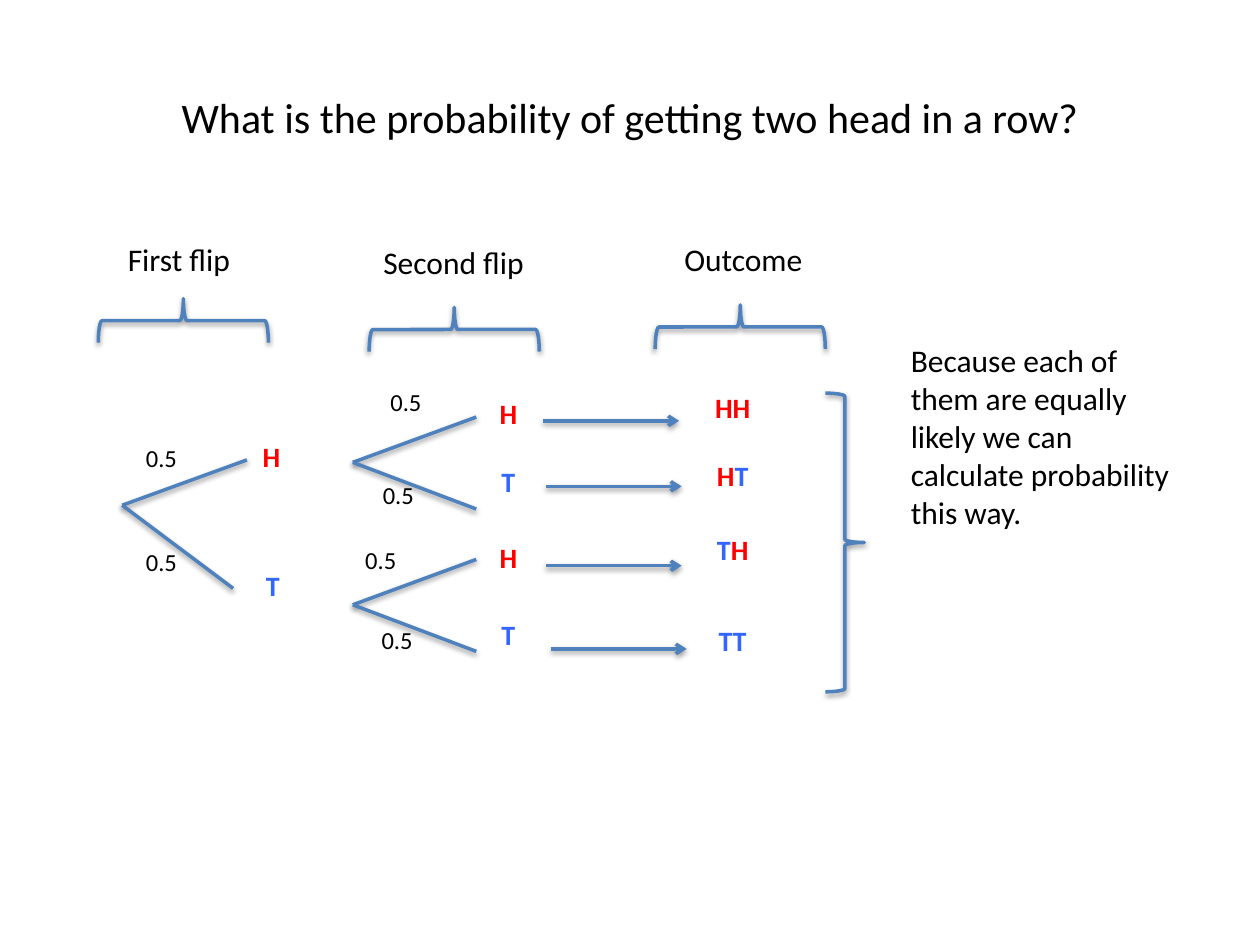
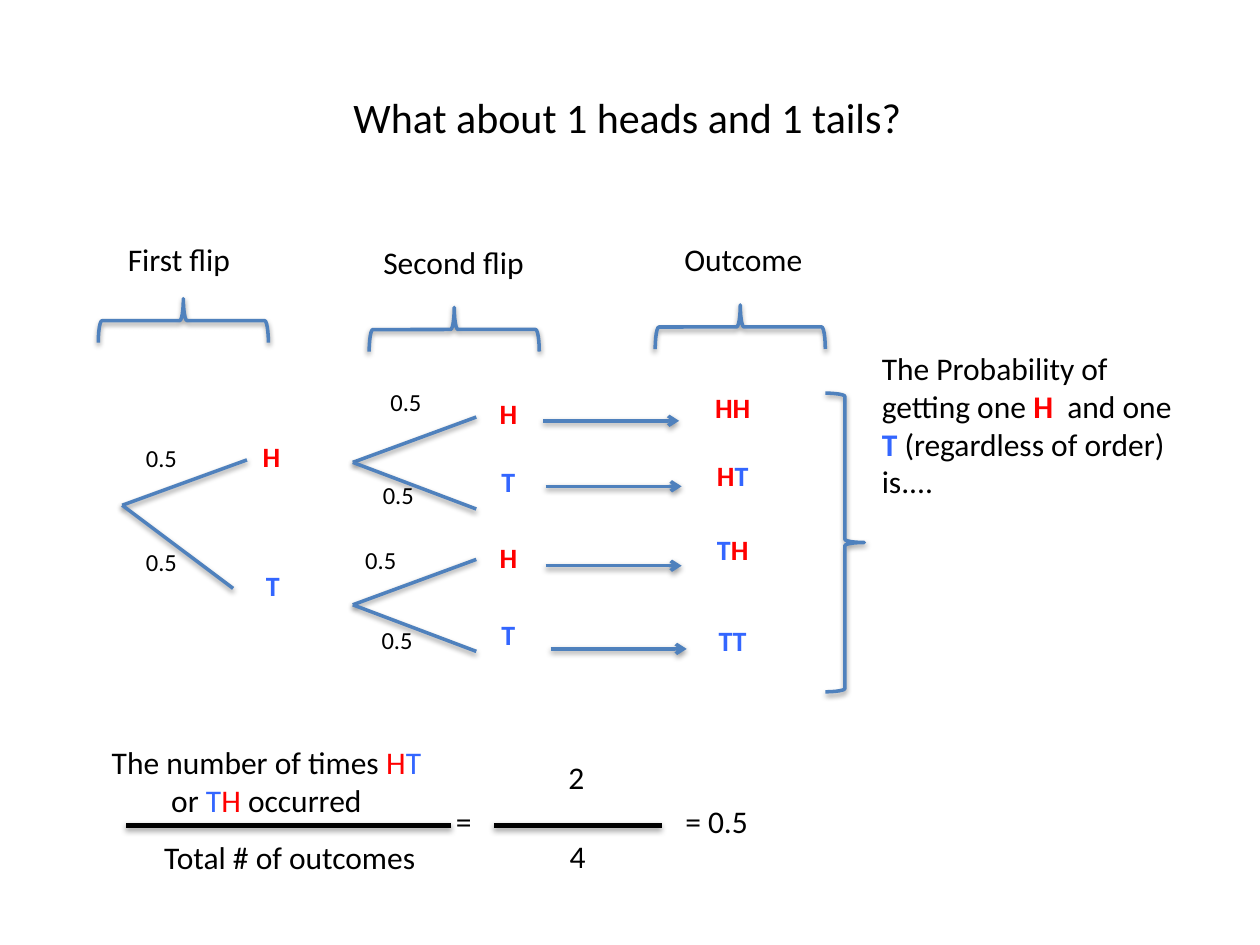
from pptx import Presentation
from pptx.dml.color import RGBColor
from pptx.enum.shapes import MSO_CONNECTOR, MSO_SHAPE
from pptx.enum.text import MSO_ANCHOR, MSO_AUTO_SIZE, PP_ALIGN
from pptx.oxml import parse_xml
from pptx.oxml.ns import nsdecls
from pptx.util import Emu, Pt

PX = 9144  # EMU per px, 100 px to the inch
COLORS = {"text": "000000", "H": "FF0000", "T": "3366FF", "line": "4F81BD"}
SHADOW = (
    f'<a:effectLst {nsdecls("a")}><a:outerShdw blurRad="40000" dist="20000" '
    'dir="5400000" rotWithShape="0"><a:srgbClr val="000000">'
    '<a:alpha val="38000"/></a:srgbClr></a:outerShdw></a:effectLst>'
)
ARROW = f'<a:tailEnd {nsdecls("a")} type="arrow"/>'


def px(*values):
    return [Emu(v * PX) for v in values]


def rgb(name):
    return RGBColor.from_string(COLORS[name])


class Deck:
    font = "Calibri"

    def __init__(self):
        self.prs = Presentation()
        self.prs.slide_width, self.prs.slide_height = px(1000, 750)
        self.s = None

    def slide(self, title, x):
        self.s = self.prs.slides.add_slide(self.prs.slide_layouts[5])
        sp = self.s.shapes.title
        sp.left, sp.top, sp.width, sp.height = px(x, 30, 900, 125)
        tf = sp.text_frame
        tf.vertical_anchor = MSO_ANCHOR.MIDDLE
        tf.text = title
        p = tf.paragraphs[0]
        p.alignment = PP_ALIGN.CENTER
        self.style(p.runs[0], 24)

    def style(self, r, size, color="text", bold=False):
        r.font.name, r.font.size, r.font.bold = self.font, Pt(size), bold
        r.font.color.rgb = rgb(color)

    def text(self, x, y, w, h, text, size=18, center=True, bold_coins=True):
        """Runs are parted by |; runs of only H or T get the coin colour."""
        sp = self.s.shapes.add_textbox(*px(x, y, w, h))
        tf = sp.text_frame
        tf.word_wrap = True
        tf.auto_size = MSO_AUTO_SIZE.SHAPE_TO_FIT_TEXT
        p = tf.paragraphs[0]
        p.alignment = PP_ALIGN.CENTER if center else PP_ALIGN.LEFT
        for piece in text.split("|"):
            r = p.add_run()
            r.text = piece
            coin = piece.strip()
            if set(coin) <= {"H", "T"}:
                self.style(r, size, coin[0], bold_coins)
            else:
                self.style(r, size)

    def outline(self, sp, color, width):
        sp.line.color.rgb = rgb(color)
        sp.line.width = Pt(width)

    def line(self, x1, y1, x2, y2, color="line", width=2, arrow=False):
        c = self.s.shapes.add_connector(MSO_CONNECTOR.STRAIGHT, *px(x1, y1, x2, y2))
        self.outline(c, color, width)
        if arrow:
            c.line._get_or_add_ln().append(parse_xml(ARROW))
        c._element.spPr.append(parse_xml(SHADOW))

    def brace(self, x, y, w, h, rotation):
        sp = self.s.shapes.add_shape(MSO_SHAPE.LEFT_BRACE, *px(x, y, w, h))
        sp.rotation = rotation
        sp.fill.background()
        self.outline(sp, "line", 2)
        sp._element.spPr.append(parse_xml(SHADOW))


# Column headings: text, text x, text y, brace x, brace y
HEADINGS = [
    ("First flip", 62, 186, 128, 187),
    ("Second flip", 280, 188, 343, 194),
    ("Outcome", 510, 186, 570, 192),
]
# Forks of the tree: start, then the two ends
FORKS = [
    ((97, 401), (196, 365), (185, 467)),
    ((280, 367), (378, 331), (378, 404)),
    ((280, 480), (378, 444), (378, 517)),
]
CHANCES = [(106, 347), (106, 429), (300, 302), (294, 376), (280, 428), (293, 491)]
FIRST_FLIP = [("H", 190, 344), ("T", 191, 446)]
# One row for each outcome: second flip, its y, arrow x, arrow y, outcome, its y
ROWS = [
    ("H", 310, 431, 334, "HH", 305),
    ("T", 364, 433, 386, "H|T", 359),
    ("H", 424, 433, 449, "T|H", 418),
    ("T", 485, 437, 515, "TT", 490),
]


def draw_tree(deck):
    # Headings and braces
    for label, x, y, brace_x, brace_y in HEADINGS:
        deck.text(x, y, 160, 40, label)
        deck.brace(brace_x, brace_y, 35, 135, 90)
    deck.brace(655, 312, 31, 237, 180)

    # Branches with their chances
    for start, *ends in FORKS:
        for end in ends:
            deck.line(*start, *end)
    for x, y in CHANCES:
        deck.text(x, y, 70, 46, "0.5", 14, center=False)

    # Flips and outcomes
    for coin, x, y in FIRST_FLIP:
        deck.text(x, y, 51, 37, coin, 16)
    for coin, coin_y, arrow_x, arrow_y, outcome, outcome_y in ROWS:
        deck.text(378, coin_y, 51, 50, coin, 16)
        deck.line(arrow_x, arrow_y, arrow_x + 108, arrow_y, arrow=True)
        deck.text(545, outcome_y, 73, 50, outcome, 16)


def draw_fractions(deck):
    # Counted outcomes over all outcomes
    deck.text(70, 585, 283, 71, "The number of times |H|T |or| T|H| occurred",
              bold_coins=False)
    deck.text(103, 660, 254, 40, "Total # of outcomes")
    deck.line(100, 655, 358, 655, "text", 3)
    deck.text(352, 632, 40, 40, "=", center=False)

    # The same in numbers
    deck.text(392, 597, 131, 40, "2")
    deck.text(393, 659, 131, 40, "4")
    deck.line(392, 655, 525, 655, "text", 3)
    deck.text(534, 632, 129, 40, "= 0.5", center=False)


def main():
    deck = Deck()

    # Slide 1: two heads
    deck.slide("What is the probability of getting two head in a row?", 50)
    draw_tree(deck)
    deck.text(713, 266, 231, 162,
              "Because each of them are equally likely we can calculate "
              "probability this way.", center=False)

    # Slide 2: one of each
    deck.slide("What about 1 heads and 1 tails?", 48)
    draw_tree(deck)
    draw_fractions(deck)
    deck.text(690, 272, 258, 131,
              "The Probability of getting one |H|  and one |T |"
              "(regardless of order) is....", center=False)

    deck.prs.save("out.pptx")


if __name__ == "__main__":
    main()
